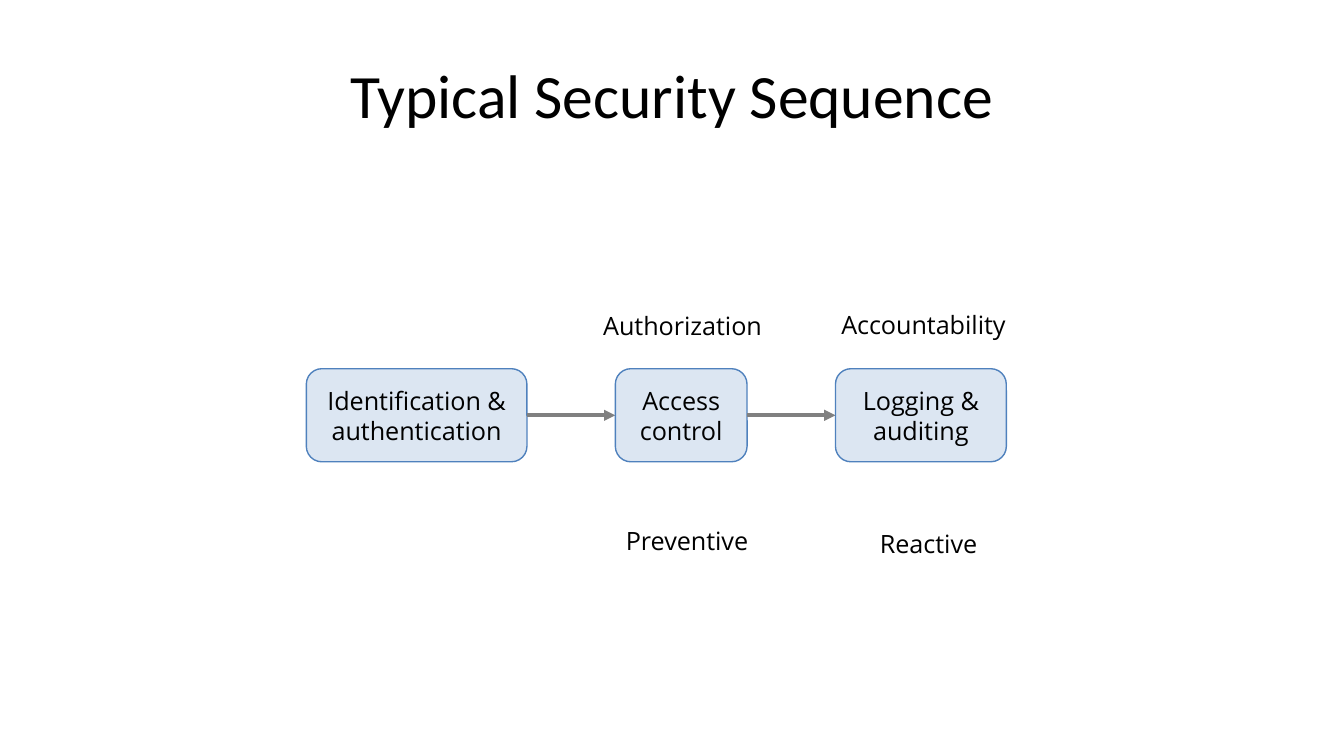
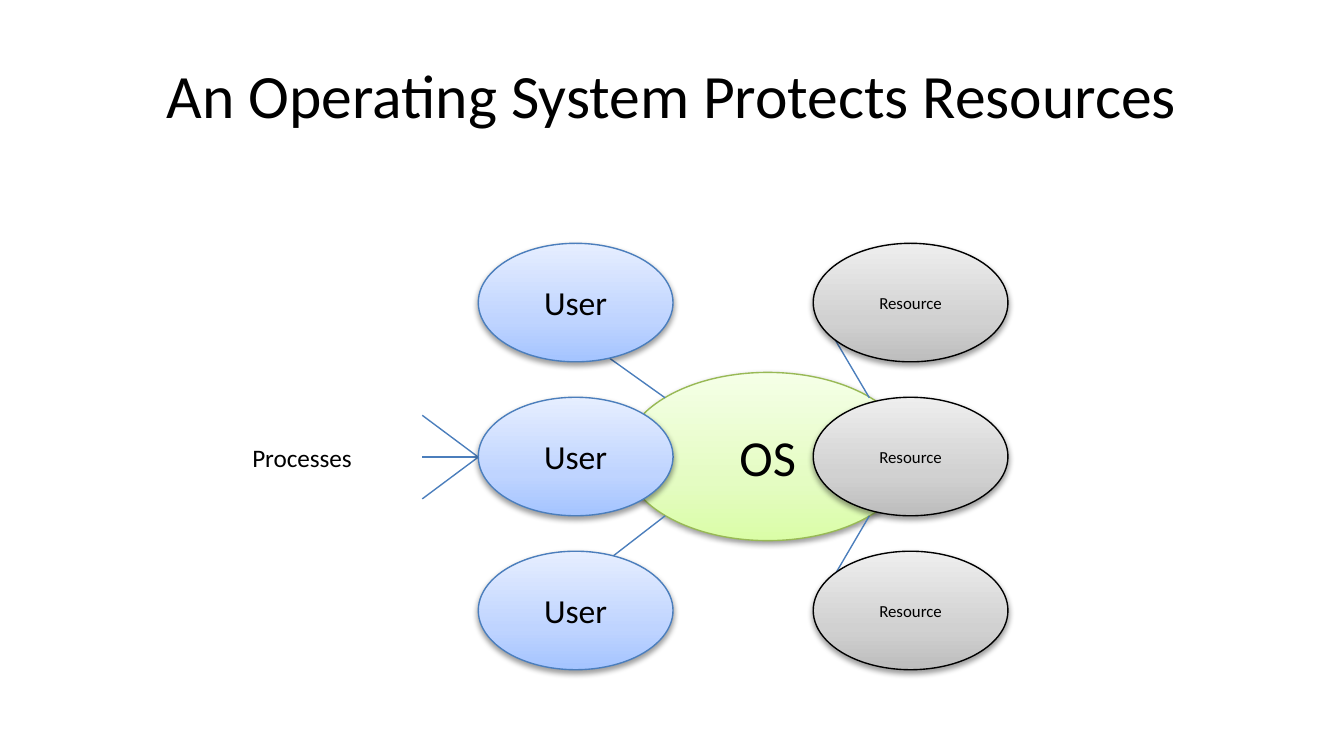
"""Build two slides on the security sequence and on how an operating system protects resources."""
from lxml import etree
from pptx import Presentation
from pptx.dml.color import RGBColor
from pptx.enum.shapes import MSO_CONNECTOR, MSO_SHAPE
from pptx.enum.text import MSO_ANCHOR, MSO_AUTO_SIZE, PP_ALIGN
from pptx.oxml.ns import qn
from pptx.util import Cm, Pt

ROUNDED, OVAL = MSO_SHAPE.ROUNDED_RECTANGLE, MSO_SHAPE.OVAL
STRAIGHT = MSO_CONNECTOR.STRAIGHT
LEFT, CENTER = PP_ALIGN.LEFT, PP_ALIGN.CENTER
TOP, MIDDLE = MSO_ANCHOR.TOP, MSO_ANCHOR.MIDDLE
GROW, FIXED = MSO_AUTO_SIZE.SHAPE_TO_FIT_TEXT, MSO_AUTO_SIZE.NONE

rgb = RGBColor.from_string
BLACK, GREY = "000000", "808080"
STEP_FILL, STEP_EDGE = "DCE6F2", "4F81BD"
BLUE, GREEN = "4B7EBC", "98B955"
BODY, LABEL = "Calibri", "Open Sans"


def write(shape, text, size=13.5, font=BODY, align=CENTER, anchor=MIDDLE, wrap=True, fit=FIXED):
    frame = shape.text_frame
    frame.word_wrap = wrap
    frame.auto_size = fit
    frame.vertical_anchor = anchor
    paragraph = frame.paragraphs[0]
    paragraph.alignment = align
    run = paragraph.add_run()
    run.text = text
    run.font.size = Pt(size)
    run.font.name = font
    run.font.color.rgb = rgb(BLACK)


def link(slide, start, end, color=BLUE, width=0.75, arrow=False):
    line = slide.shapes.add_connector(STRAIGHT, *map(Cm, start + end))
    line.line.color.rgb = rgb(color)
    line.line.width = Pt(width)
    if arrow:
        etree.SubElement(line.line._get_or_add_ln(), qn("a:tailEnd"), type="triangle")
    etree.SubElement(line._element.spPr, qn("a:effectLst"))


deck = Presentation()
deck.slide_width, deck.slide_height = Cm(25.4), Cm(14.29)
blank = deck.slide_layouts[6]

slides = []
for heading in ("Typical Security Sequence", "An Operating System Protects Resources"):
    slide = deck.slides.add_slide(blank)
    title = slide.shapes.add_textbox(Cm(1.27), Cm(0.58), Cm(22.86), Cm(2.39))
    write(title, heading, size=33)
    slides.append(slide)
sequence, protection = slides

gap, step_top, step_height, arrow_y = 1.67, 6.97, 1.76, 7.85
left = 5.79
steps = [("Identification & authentication", 4.17), ("Access control", 2.49), ("Logging & auditing", 3.23)]
for number, (text, width) in enumerate(steps):
    if number:
        link(sequence, (left - gap, arrow_y), (left, arrow_y), color=GREY, width=2, arrow=True)
    step = sequence.shapes.add_shape(ROUNDED, Cm(left), Cm(step_top), Cm(width), Cm(step_height))
    step.shadow.inherit = False
    step.fill.solid()
    step.fill.fore_color.rgb = rgb(STEP_FILL)
    step.line.color.rgb = rgb(STEP_EDGE)
    step.line.width = Pt(0.75)
    write(step, text, font=LABEL)
    left += width + gap

for text, x, y, width in [
    ("Accountability", 15.65, 5.72, 3.81),
    ("Reactive", 16.38, 9.86, 2.44),
    ("Preventive", 11.58, 9.8, 2.9),
    ("Authorization", 11.15, 5.74, 3.71),
]:
    label = sequence.shapes.add_textbox(Cm(x), Cm(y), Cm(width), Cm(0.84))
    write(label, text, font=LABEL, align=LEFT, anchor=TOP, wrap=False, fit=GROW)

rows = [4.6 + 2.91 * row for row in range(3)]
fan = [((9.04, 8.64), (7.98, 8.64 + rise)) for rise in (-0.79, 0, 0.79)]
user_links = [((12.57, 7.52), (10.72, 6.2)), ((11.79, 8.64), (12.73, 8.64)), ((12.57, 9.75), (10.72, 11.18))]
resource_links = [((16.43, 7.52), (15.37, 5.72)), ((15.37, 8.66), (16.41, 8.66)), ((16.43, 9.75), (15.37, 11.56))]
groups = [
    ("OS", 27, GREEN, ("DAFDA7", "E4FCC2", "F5FFE7"), 11.79, [7.04], (5.44, 3.18), []),
    ("User", 18, BLUE, ("A4C4FF", "BFD4FF", "E6EEFF"), 9.04, rows, (3.68, 2.24), user_links + fan),
    ("Resource", 9, BLACK, ("BDBDBD", "D1D1D1", "EEEEEE"), 15.37, rows, (3.68, 2.24), resource_links),
]
for text, size, edge, shades, x, tops, (width, height), links in groups:
    for start, end in links:
        link(protection, start, end)
    for y in tops:
        node = protection.shapes.add_shape(OVAL, Cm(x), Cm(y), Cm(width), Cm(height))
        node.fill.gradient()
        node.fill.gradient_angle = 90
        stops = node._element.spPr.find(".//" + qn("a:gsLst"))
        for stop in list(stops):
            stops.remove(stop)
        for position, shade in zip((0, 35, 100), shades):
            stop = etree.SubElement(stops, qn("a:gs"), pos=str(position * 1000))
            etree.SubElement(stop, qn("a:srgbClr"), val=shade)
        node.line.color.rgb = rgb(edge)
        node.line.width = Pt(0.75)
        node.shadow.inherit = False
        effects = node._element.spPr.find(qn("a:effectLst"))
        shadow = etree.SubElement(effects, qn("a:outerShdw"), blurRad=str(Pt(3.1)), dist=str(Pt(1.6)),
                                  dir="5400000", rotWithShape="0")
        tint = etree.SubElement(shadow, qn("a:srgbClr"), val=BLACK)
        etree.SubElement(tint, qn("a:alpha"), val="38000")
        write(node, text, size=size)

processes = protection.shapes.add_textbox(Cm(4.52), Cm(8.23), Cm(3.45), Cm(0.84))
write(processes, "Processes", align=LEFT, anchor=TOP, fit=GROW)

deck.save("out.pptx")
